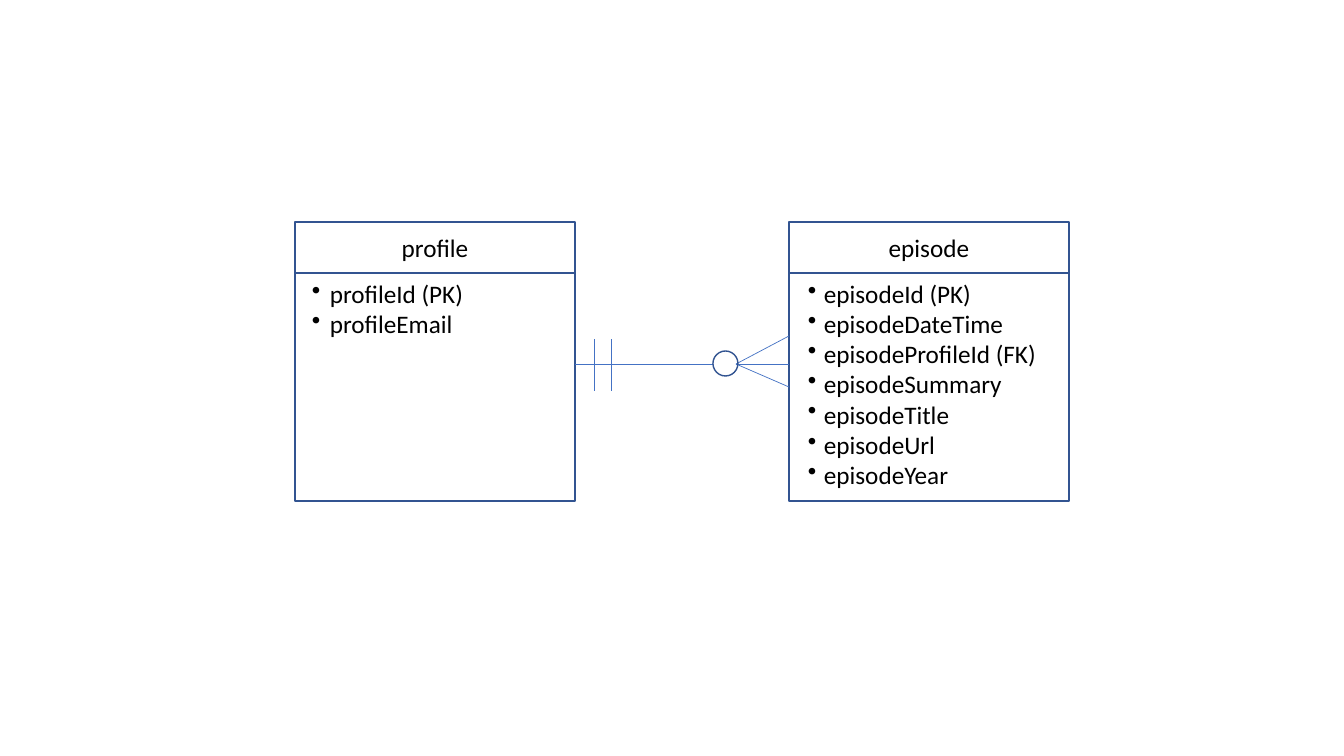
"""Build an entity-relationship slide linking profile to episode."""
from dataclasses import dataclass

from lxml.etree import SubElement
from pptx import Presentation
from pptx.dml.color import RGBColor
from pptx.enum.shapes import MSO_CONNECTOR, MSO_SHAPE
from pptx.enum.text import MSO_ANCHOR, PP_ALIGN
from pptx.oxml.ns import qn
from pptx.shapes.autoshape import Shape
from pptx.slide import Slide
from pptx.util import Emu, Pt

OUTLINE = RGBColor(0x32, 0x54, 0x91)
LINK = RGBColor(0x44, 0x72, 0xC4)
TEXT = RGBColor(0x00, 0x00, 0x00)
FONT = "Calibri"

ENTITY_TOP, ENTITY_WIDTH = 222, 280
HEADER_HEIGHT, BODY_HEIGHT = 51, 228
BULLET_MARGIN = 25
LINK_Y = 364
CIRCLE_LEFT, CIRCLE_TOP, CIRCLE_SIZE = 713, 351, 25
FORK_X = 736
BAR_TOP, BAR_BOTTOM = 339, 391


@dataclass(frozen=True)
class Entity:
    name: str
    left: int
    fields: tuple[str, ...]
    hanging: int


@dataclass(frozen=True)
class Segment:
    start_x: int
    start_y: int
    end_x: int
    end_y: int


PROFILE = Entity("profile", 295, ("profileId (PK)", "profileEmail"), 18)
EPISODE = Entity(
    "episode",
    789,
    (
        "episodeId (PK)",
        "episodeDateTime",
        "episodeProfileId (FK)",
        "episodeSummary",
        "episodeTitle",
        "episodeUrl",
        "episodeYear",
    ),
    16,
)

SEGMENTS = [
    Segment(PROFILE.left + ENTITY_WIDTH, LINK_Y, CIRCLE_LEFT, LINK_Y),
    *(Segment(FORK_X, LINK_Y, EPISODE.left, end_y) for end_y in (336, LINK_Y, 387)),
    *(Segment(bar_x, BAR_BOTTOM, bar_x, BAR_TOP) for bar_x in (594, 611)),
]


def pixels(count: int) -> Emu:
    """Convert pixels to EMU."""
    return Emu(round(count * 914400 / 100.8))


def add_outline(
    slide: Slide, kind: MSO_SHAPE, left: int, top: int, width: int, height: int
) -> Shape:
    """Add an unfilled shape with a dark blue outline."""
    shape = slide.shapes.add_shape(kind, *map(pixels, (left, top, width, height)))
    shape.shadow.inherit = False
    shape.fill.background()
    shape.line.color.rgb = OUTLINE
    shape.line.width = Pt(1)
    return shape


def set_text(shape: Shape, text: str, alignment: PP_ALIGN, anchor: MSO_ANCHOR) -> None:
    """Fill a shape with black text."""
    text_frame = shape.text_frame
    text_frame.text = text
    text_frame.word_wrap = True
    text_frame.vertical_anchor = anchor
    for paragraph in text_frame.paragraphs:
        paragraph.alignment = alignment
        for run in paragraph.runs:
            run.font.name = FONT
            run.font.size = Pt(18)
            run.font.color.rgb = TEXT


def add_bullets(shape: Shape, hanging: int) -> None:
    """Give every paragraph a bullet and a hanging indent."""
    for paragraph in shape.text_frame.paragraphs:
        properties = paragraph._p.get_or_add_pPr()
        properties.set("marL", str(pixels(BULLET_MARGIN)))
        properties.set("indent", str(-pixels(hanging)))
        SubElement(properties, qn("a:buChar"), char="•")


def add_entity(slide: Slide, entity: Entity) -> None:
    """Add an entity as a header above its field list."""
    header = add_outline(
        slide, MSO_SHAPE.RECTANGLE, entity.left, ENTITY_TOP, ENTITY_WIDTH, HEADER_HEIGHT
    )
    set_text(header, entity.name, PP_ALIGN.CENTER, MSO_ANCHOR.MIDDLE)
    body = add_outline(
        slide,
        MSO_SHAPE.RECTANGLE,
        entity.left,
        ENTITY_TOP + HEADER_HEIGHT,
        ENTITY_WIDTH,
        BODY_HEIGHT,
    )
    set_text(body, "\n".join(entity.fields), PP_ALIGN.LEFT, MSO_ANCHOR.TOP)
    add_bullets(body, entity.hanging)


def add_segment(slide: Slide, segment: Segment) -> None:
    """Add a thin straight line of the relationship."""
    ends = (segment.start_x, segment.start_y, segment.end_x, segment.end_y)
    connector = slide.shapes.add_connector(MSO_CONNECTOR.STRAIGHT, *map(pixels, ends))
    connector.line.color.rgb = LINK
    connector.line.width = Pt(0.5)
    SubElement(connector._element.spPr, qn("a:effectLst"))


def main() -> None:
    """Create and save the presentation."""
    presentation = Presentation()
    presentation.slide_width = pixels(1344)
    presentation.slide_height = pixels(756)
    slide = presentation.slides.add_slide(presentation.slide_layouts[6])
    for entity in (PROFILE, EPISODE):
        add_entity(slide, entity)
    for segment in SEGMENTS:
        add_segment(slide, segment)
    add_outline(
        slide, MSO_SHAPE.OVAL, CIRCLE_LEFT, CIRCLE_TOP, CIRCLE_SIZE, CIRCLE_SIZE
    )
    presentation.save("out.pptx")


main()
